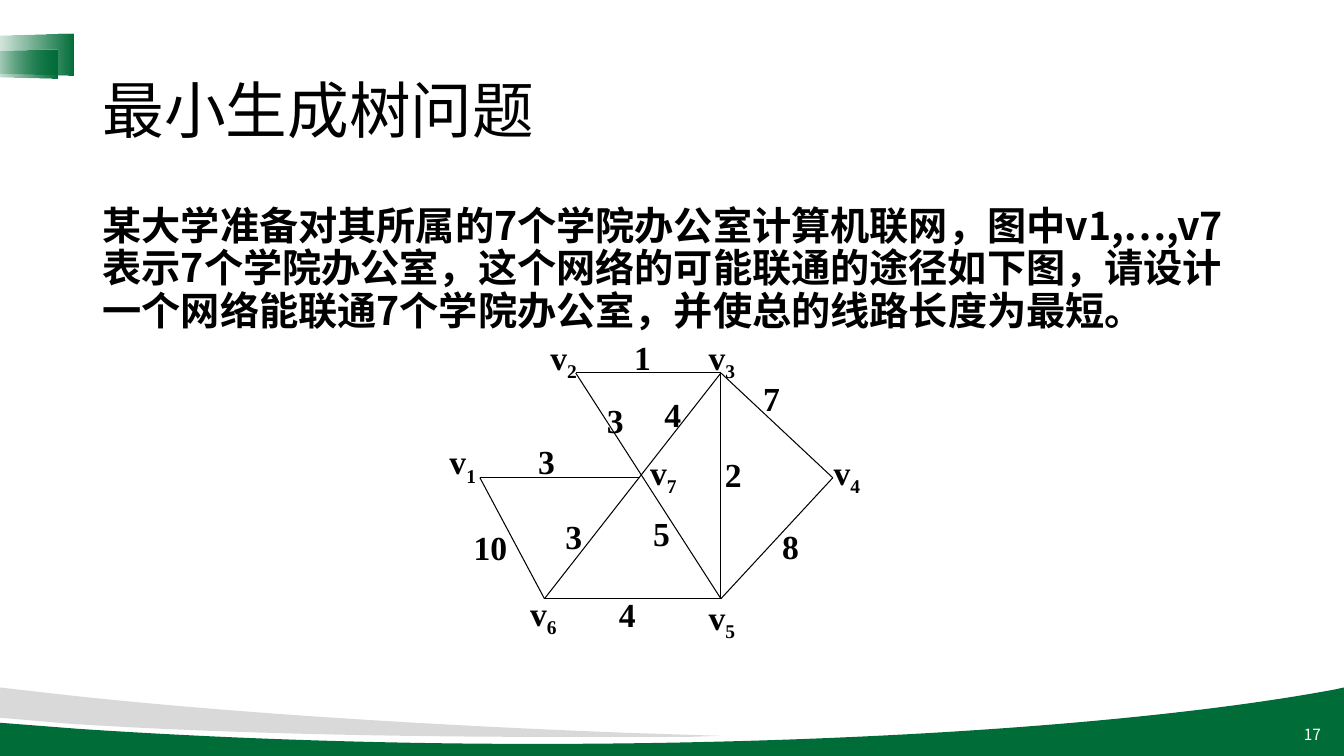
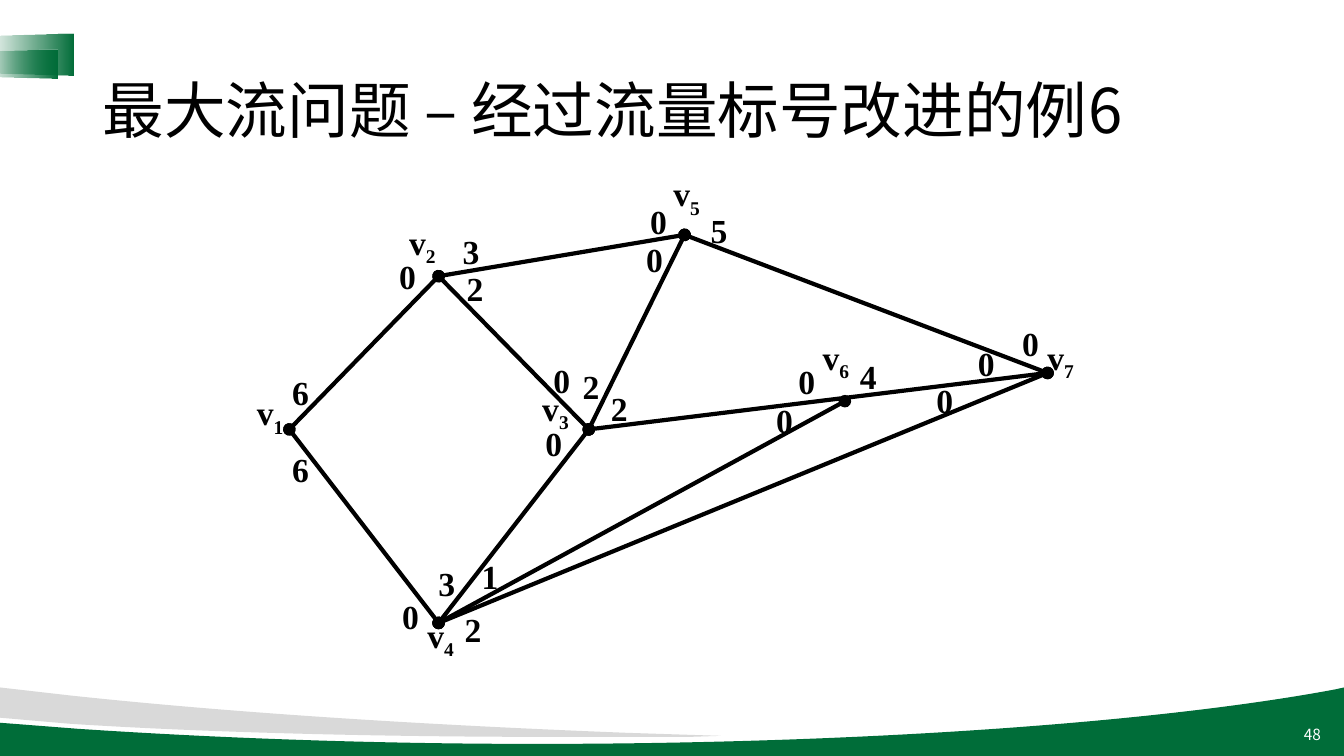
"""Build two slides about graph problems: a minimum spanning tree and a maximum flow."""
from lxml.etree import SubElement
from pptx import Presentation
from pptx.dml.color import RGBColor
from pptx.enum.shapes import MSO_CONNECTOR, MSO_SHAPE
from pptx.enum.text import MSO_ANCHOR, PP_ALIGN
from pptx.oxml.ns import qn
from pptx.util import Pt

PX = 9144
GREEN = RGBColor(0x00, 0x6D, 0x39)
GREY = RGBColor(0xD9, 0xD9, 0xD9)
BLACK = RGBColor(0x00, 0x00, 0x00)
WHITE = RGBColor(0xFF, 0xFF, 0xFF)
SANS = "Noto Sans CJK SC"
SERIF = "Times New Roman"

GREEN_WAVE = [
    [(1333, 682)], [(1333, 751)], [(0, 751)], [(0, 717)], [(77, 723)],
    [(212, 732), (367, 738), (532, 738)],
    [(862, 738), (1153, 716), (1324, 684)],
]
GREY_WAVE = [
    [(0, 682)], [(70, 690)],
    [(229, 707), (417, 719), (622, 727)],
    [(715, 730)], [(684, 731)],
    [(640, 731), (594, 731), (548, 731)],
    [(361, 731), (192, 726), (69, 718)],
    [(0, 712)],
]
CORNER_TABS = [(8, 10, 41, 88), (6, 27, 29, 73)]

OFFICES = {
    "v1": (476, 474), "v2": (571, 370), "v3": (715, 370), "v4": (826, 474),
    "v5": (715, 594), "v6": (540, 594), "v7": (635, 474),
}
CABLES = ["v1 v6", "v6 v5", "v1 v7", "v3 v6", "v2 v5", "v2 v3", "v3 v5", "v5 v4", "v3 v4"]
OFFICE_LABELS = [
    ("v_1", 436, 433), ("v_2", 536, 329), ("v_3", 693, 329), ("v_4", 817, 443),
    ("v_5", 693, 587), ("v_6", 516, 583), ("v_7", 635, 443),
]
CABLE_LENGTHS = [
    ("3", 524, 433), ("3", 592, 392), ("1", 619, 329), ("7", 747, 370),
    ("2", 709, 445), ("8", 766, 517), ("5", 638, 504), ("4", 604, 584),
    ("10", 460, 518), ("3", 551, 507), ("4", 649, 386),
]

FLOW_NODES = {
    "v1": (287, 426), "v2": (435, 274), "v3": (584, 426), "v4": (435, 618),
    "v5": (679, 233), "v6": (838, 398), "v7": (1039, 370),
}
FLOW_ARCS = ["v1 v4", "v1 v2", "v4 v3", "v2 v3", "v2 v5", "v3 v5", "v3 v7", "v4 v7", "v5 v7", "v4 v6"]
FLOW_LABELS = [
    ("v_1", 245, 384), ("v_2", 396, 215), ("v_3", 528, 380), ("v_4", 414, 605),
    ("v_5", 658, 167), ("v_6", 806, 329), ("v_7", 1029, 329),
]
FORWARD_FLOWS = [
    ("6", 280, 364), ("3", 449, 224), ("5", 695, 203), ("2", 453, 261),
    ("2", 568, 358), ("2", 596, 380), ("4", 843, 348), ("1", 468, 547),
    ("2", 451, 599), ("6", 280, 440), ("3", 425, 554),
]
BACKWARD_FLOWS = [
    ("0", x, y) for x, y in [
        (386, 249), (389, 586), (539, 352), (635, 194), (631, 232), (782, 353),
        (531, 415), (760, 392), (919, 372), (1004, 315), (960, 335),
    ]
]


def write(paragraph, text, *, size, font=SANS, color=BLACK, bold=False,
          align=PP_ALIGN.LEFT, spacing=1.0):
    """Fill a paragraph, setting whatever follows an underscore as a subscript."""
    paragraph.alignment = align
    paragraph.line_spacing = spacing
    base, _, subscript = text.partition("_")
    for piece, offset in ((base, None), (subscript, "-25000")):
        if not piece:
            continue
        run = paragraph.add_run()
        run.text = piece
        run.font.size = Pt(size)
        run.font.bold = bold
        run.font.color.rgb = color
        run.font.name = font
        properties = run._r.get_or_add_rPr()
        SubElement(properties, qn("a:ea"), typeface=font)
        if offset:
            properties.set("baseline", offset)


class Deck:
    """Hold the shared style and the slide being drawn."""

    def __init__(self):
        """Start an empty widescreen presentation."""
        self.presentation = Presentation()
        self.presentation.slide_width = 1333 * PX
        self.presentation.slide_height = 750 * PX
        self.slide = None

    def start_slide(self, title, number):
        """Add a slide with its waves, corner tabs, number and title."""
        self.slide = self.presentation.slides.add_slide(self.presentation.slide_layouts[6])
        self.wave(GREEN_WAVE, GREEN)
        self.wave(GREY_WAVE, GREY)
        for place in CORNER_TABS:
            self.tab(*place)
        self.text(number, 1020, 709, 300, 40, anchor=MSO_ANCHOR.MIDDLE,
                  size=11, color=WHITE, align=PP_ALIGN.RIGHT)
        self.text(title, 92, 40, 1150, 145, anchor=MSO_ANCHOR.MIDDLE, size=44, spacing=0.9)

    def wave(self, parts, color):
        """Draw a filled outline whose three-point parts are cubic curves."""
        ends = [(part[-1][0] * PX, part[-1][1] * PX) for part in parts]
        builder = self.slide.shapes.build_freeform(*ends[0], scale=1.0)
        builder.add_line_segments(ends[1:], close=True)
        shape = builder.convert_to_shape()
        shape.shadow.inherit = False
        shape.fill.solid()
        shape.fill.fore_color.rgb = color
        shape.line.fill.background()
        segments = list(shape._element.spPr.find(".//" + qn("a:path")))
        for part, segment in zip(parts, segments):
            if len(part) == 3:
                segment.tag = qn("a:cubicBezTo")
                for position, (x, y) in enumerate(part[:-1]):
                    control = SubElement(segment, qn("a:pt"),
                                         x=str(x * PX - shape.left), y=str(y * PX - shape.top))
                    segment.insert(position, control)

    def tab(self, left, top, width, height):
        """Draw a turned trapezoid of green that fades out to the left."""
        shape = self.slide.shapes.add_shape(
            MSO_SHAPE.TRAPEZOID, left * PX, top * PX, width * PX, height * PX)
        shape.rotation = 270
        shape.adjustments[0] = 0.07
        shape.shadow.inherit = False
        shape.line.fill.background()
        shape.fill.gradient()
        shape.fill.gradient_angle = 0
        for stop in shape.fill.gradient_stops:
            stop.color.rgb = GREEN
        gradient = shape._element.spPr.find(qn("a:gradFill"))
        gradient.set("rotWithShape", "0")
        SubElement(gradient.find(".//" + qn("a:srgbClr")), qn("a:alpha"), val="0")

    def text(self, text, left, top, width, height, *, anchor=MSO_ANCHOR.TOP, **style):
        """Add a wrapped text box."""
        box = self.slide.shapes.add_textbox(left * PX, top * PX, width * PX, height * PX)
        box.text_frame.word_wrap = True
        box.text_frame.vertical_anchor = anchor
        write(box.text_frame.paragraphs[0], text, **style)

    def labels(self, labels, width):
        """Add the names or numbers of a graph."""
        for label, left, top in labels:
            self.text(label, left, top, width, 50, size=24, font=SERIF, bold=True)

    def edges(self, nodes, edges, width, dots=False):
        """Join pairs of nodes by lines, with dots at the ends if asked."""
        for edge in edges:
            start, end = (nodes[name] for name in edge.split())
            line = self.slide.shapes.add_connector(
                MSO_CONNECTOR.STRAIGHT, *(value * PX for value in start + end))
            line.line.color.rgb = BLACK
            line.line.width = Pt(width)
            properties = line._element.spPr
            if dots:
                for tip in ("a:headEnd", "a:tailEnd"):
                    SubElement(properties.find(qn("a:ln")), qn(tip), type="oval")
            SubElement(properties, qn("a:effectLst"))


def main():
    """Build and save both slides."""
    deck = Deck()

    deck.start_slide("最小生成树问题", "17")
    deck.text(
        "某大学准备对其所属的7个学院办公室计算机联网，图中v1,…,v7  表示7个学院办公室，"
        "这个网络的可能联通的途径如下图，请设计一个网络能联通7个学院办公室，"
        "并使总的线路长度为最短。",
        92, 200, 1150, 476, size=28, bold=True, spacing=0.9)
    deck.edges(OFFICES, CABLES, 0.75)
    deck.labels(CABLE_LENGTHS, 64)
    deck.labels(OFFICE_LABELS, 80)

    deck.start_slide("最大流问题 – 经过流量标号改进的例6", "48")
    deck.edges(FLOW_NODES, FLOW_ARCS, 3, dots=True)
    deck.labels(FORWARD_FLOWS + FLOW_LABELS + BACKWARD_FLOWS, 74)

    deck.presentation.save("out.pptx")


if __name__ == "__main__":
    main()
